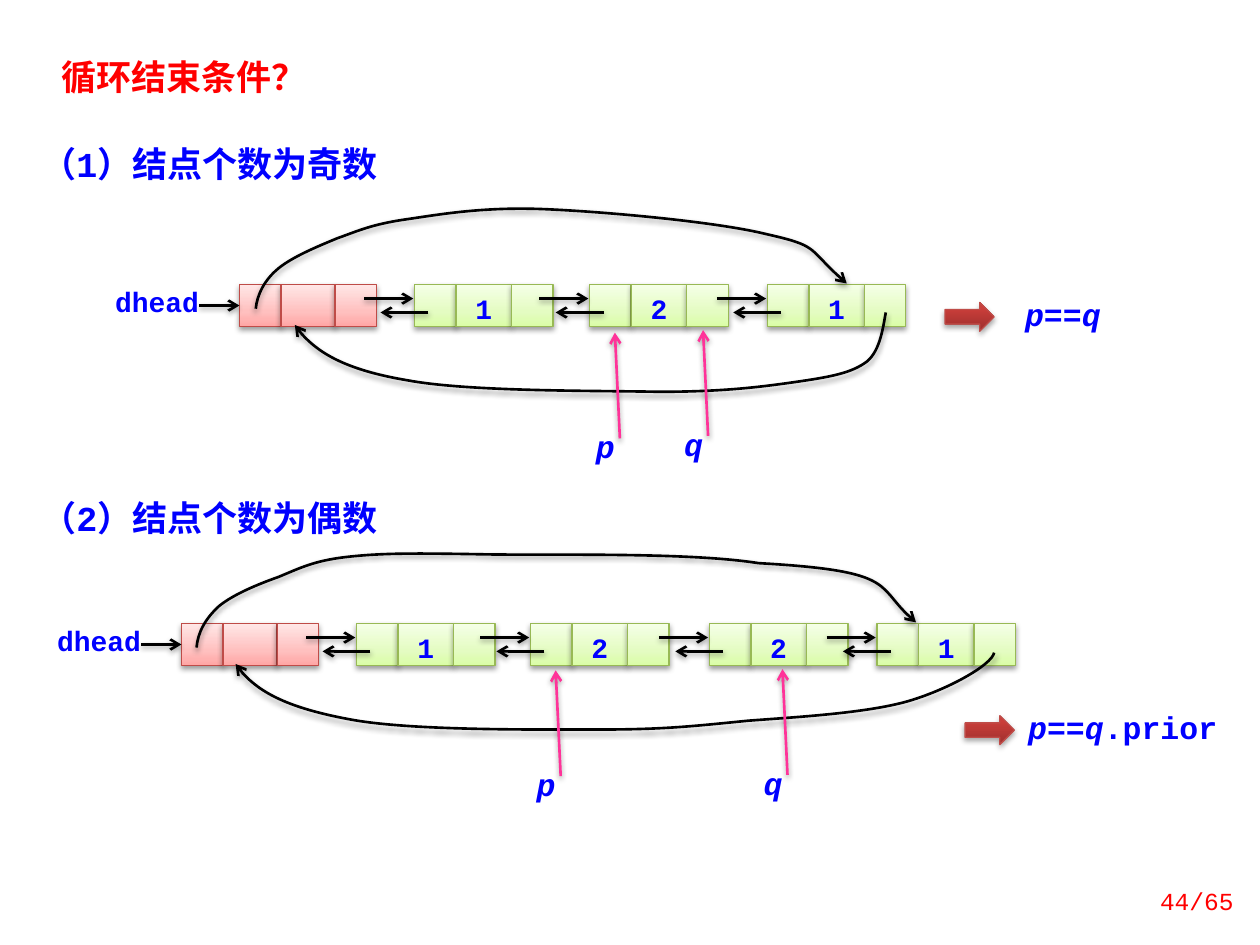
from itertools import pairwise
from lxml.etree import SubElement
from pptx import Presentation
from pptx.dml.color import RGBColor
from pptx.enum.shapes import MSO_CONNECTOR, MSO_SHAPE
from pptx.enum.text import MSO_ANCHOR, MSO_AUTO_SIZE, PP_ALIGN
from pptx.oxml.ns import qn
from pptx.util import Inches, Pt

COLORS = {"text": "0000FF", "red": "FF0000", "ink": "000000", "pointer": "FF3399",
          "white": "FFFFFF", "head_line": "BF4C48", "node_line": "98B955"}
GRADIENTS = {
    "head": ((0, "FFA6A5"), (35, "FFC0BF"), (100, "FFE7E7")),
    "node": ((0, "DAFDA7"), (35, "E4FCC2"), (100, "F5FFE7")),
    "result": ((0, "9C2F2D"), (80, "CB3E3A"), (100, "CE3B37")),
}
MONO, CJK = "Courier New", "Noto Sans CJK SC"
COLS, ROWS = 100, 75
CELL_H = 3.3
CELLS = {"head": (3.3, 4.3, 3.3), "node": (3.3, 4.4, 3.3)}

CASES = [
    {
        "title": ("（1）结点个数为奇数", 10.8), "top": 22.6, "head": 19,
        "nodes": [(32.9, "1"), (46.8, "2"), (60.9, "1")],
        "pointers": [("p", 48.8, 26.4), ("q", 55.8, 26.2)],
        "result": (75, 24, 10.9, [("p", True), ("==", False), ("q", True)]),
        "curves": [
            [(70.3, 24.8), (70.1, 25.8), (69.9, 27.8), (68.8, 28.7), (67.6, 29.6),
             (66, 29.9), (63.3, 30.3), (60.5, 30.7), (57.5, 31.1), (52.3, 31.1),
             (47.2, 31), (37.3, 31.1), (32.4, 30.2), (27.6, 29.4), (24.6, 27.7), (23.4, 25.8)],
            [(20.3, 24.5), (20.4, 23.4), (21, 22.2), (22.1, 21.3), (23.2, 20.4),
             (25.1, 19.6), (26.8, 18.9), (28.5, 18.3), (29.5, 17.8), (32.3, 17.4),
             (35, 17), (38.4, 16.4), (43.2, 16.6), (48, 16.8), (56.9, 17.6),
             (60.9, 18.6), (64.9, 19.5), (64, 19.7), (67.2, 22.5)],
        ],
    },
    {
        "title": ("（2）结点个数为偶数", 38.9), "top": 49.5, "head": 14.4,
        "nodes": [(28.3, "1"), (42.1, "2"), (56.3, "2"), (69.6, "1")],
        "pointers": [("p", 44.1, 53.2), ("q", 62.1, 53.1)],
        "result": (76.6, 56.8, 17.2,
                   [("p", True), ("==", False), ("q", True), (".prior", False)]),
        "curves": [
            [(15.6, 51.4), (15.7, 50.2), (16.3, 49.1), (17.4, 48.1), (18.5, 47.2),
             (20.4, 46.4), (22.1, 45.8), (23.8, 45.1), (24.9, 44.5), (27.6, 44.2),
             (30.3, 43.9), (32.8, 43.9), (38.3, 44), (43.7, 44.1), (54.5, 43.8),
             (60.2, 44.7), (70.9, 45.3), (69.4, 46.6), (72.7, 49.4)],
            [(78.9, 51.8), (78.7, 52.8), (75.1, 54.8), (71.9, 55.7), (68.6, 56.6),
             (63.4, 56.9), (59.4, 57.2), (55.3, 57.6), (52.9, 57.9), (47.7, 57.9),
             (42.4, 57.9), (32.6, 58), (27.8, 57.1), (22.9, 56.2), (19.9, 54.6), (18.7, 52.7)],
        ],
    },
]


class Board:
    """Draws styled elements on one slide, measured in grid columns and rows."""

    def __init__(self, prs):
        self.s = prs.slides.add_slide(prs.slide_layouts[6])
        self.cw, self.rh = prs.slide_width / COLS, prs.slide_height / ROWS

    def grid(self, x, y):
        return round(x * self.cw), round(y * self.rh)

    def shadow(self, sp, alpha=38, dist=20000):
        effects = SubElement(sp.element.spPr, qn("a:effectLst"))
        outer = SubElement(effects, qn("a:outerShdw"), blurRad="40000", dist=str(dist),
                           dir="5400000", rotWithShape="0")
        color = SubElement(outer, qn("a:srgbClr"), val=COLORS["ink"])
        SubElement(color, qn("a:alpha"), val=str(alpha * 1000))

    def stroke(self, sp, color, width, arrow=False):
        sp.line.color.rgb = RGBColor.from_string(COLORS[color])
        sp.line.width = Pt(width)
        if arrow:
            SubElement(sp.element.spPr.find(qn("a:ln")), qn("a:tailEnd"), type="arrow")

    def put_runs(self, sp, runs, size, color="text", font=MONO, bold=True,
                 insets=(0.1, 0.05, 0.1, 0.05), anchor=MSO_ANCHOR.TOP, **para):
        tf = sp.text_frame
        sides = ("margin_left", "margin_top", "margin_right", "margin_bottom")
        frame = dict(zip(sides, map(Inches, insets)), word_wrap=True, vertical_anchor=anchor)
        for key, value in frame.items():
            setattr(tf, key, value)
        p = tf.paragraphs[0]
        for key, value in para.items():
            setattr(p, key, value)
        for text, italic in runs:
            r = p.add_run()
            r.text = text
            fmt = {"name": font, "size": Pt(size), "bold": bold, "italic": italic}
            for key, value in fmt.items():
                setattr(r.font, key, value)
            r.font.color.rgb = RGBColor.from_string(COLORS[color])
            SubElement(r.font._element, qn("a:ea"), typeface=CJK)

    def text(self, x, y, w, h, runs, size, grow=True, **style):
        sp = self.s.shapes.add_textbox(*self.grid(x, y), *self.grid(w, h))
        self.put_runs(sp, runs, size, **style)
        if grow:
            sp.text_frame.auto_size = MSO_AUTO_SIZE.SHAPE_TO_FIT_TEXT

    def block(self, x, y, w, h, gradient, line, kind=MSO_SHAPE.RECTANGLE, **shadow):
        sp = self.s.shapes.add_shape(kind, *self.grid(x, y), *self.grid(w, h))
        sp.fill.gradient()
        sp.fill.gradient_angle = 90
        stops = sp.element.spPr.find(".//" + qn("a:gsLst"))
        stops.clear()
        for pos, color in GRADIENTS[gradient]:
            stop = SubElement(stops, qn("a:gs"), pos=str(pos * 1000))
            SubElement(stop, qn("a:srgbClr"), val=color)
        self.stroke(sp, line, 0.75)
        self.shadow(sp, **shadow)
        return sp

    def node(self, x, y, kind, value=""):
        cells = []
        for w in CELLS[kind]:
            cells.append(self.block(x, y, w, CELL_H, kind, f"{kind}_line"))
            x += w
        if value:
            self.put_runs(cells[1], [(value, False)], 16, insets=(0.1, 0, 0.1, 0),
                          alignment=PP_ALIGN.CENTER, line_spacing=Pt(23))
        return cells

    def label(self, x, y, w, h, text):
        sp = self.s.shapes.add_shape(MSO_SHAPE.RECTANGLE, *self.grid(x, y), *self.grid(w, h))
        sp.shadow.inherit = False
        sp.fill.solid()
        sp.fill.fore_color.rgb = RGBColor.from_string(COLORS["white"])
        sp.line.fill.background()
        self.put_runs(sp, [(text, False)], 16, insets=(0.02, 0, 0.1, 0),
                      alignment=PP_ALIGN.CENTER)

    def arrow(self, start, end, color="ink", target=None):
        sp = self.s.shapes.add_connector(MSO_CONNECTOR.STRAIGHT, *self.grid(*start),
                                         *self.grid(*end))
        if target is not None:
            sp.end_connect(target, 1)
        self.stroke(sp, color, 1.5, arrow=True)
        self.shadow(sp)

    def curve(self, points):
        start, *rest = [self.grid(*point) for point in points]
        builder = self.s.shapes.build_freeform(*start)
        builder.add_line_segments(rest, close=False)
        sp = builder.convert_to_shape()
        segments = list(sp.element.iter(qn("a:lnTo")))
        for trio in zip(segments[::3], segments[1::3], segments[2::3]):
            bezier = SubElement(trio[0].getparent(), qn("a:cubicBezTo"))
            for segment in trio:
                bezier.append(segment[0])
                segment.getparent().remove(segment)
        sp.fill.background()
        self.stroke(sp, "ink", 1.5, arrow=True)
        self.shadow(sp)

    def pointer(self, name, x, y):
        self.text(x - 3.5, y + 7.6, 5.5, 3.5, [(name, True)], 18,
                  alignment=PP_ALIGN.CENTER, line_spacing=0.8)
        self.arrow((x + 0.4, y + 8.4), (x, y), "pointer")

    def result(self, x, y, w, runs):
        self.block(x, y, 3.9, 2.3, "result", "head_line", MSO_SHAPE.RIGHT_ARROW,
                   alpha=35, dist=23000)
        self.text(x + 3.9, y - 1.1, w, 4, runs, 18, alignment=PP_ALIGN.CENTER)

    def case(self, case):
        title, title_y = case["title"]
        top, head = case["top"], case["head"]
        self.text(2.3, title_y, 28.9, 4.4, [(title, False)], 20)
        self.label(head - 10.4, top, 8.5, CELL_H, "dhead")
        middle = top + CELL_H / 2
        first = self.node(head, top, "head")[0]
        self.arrow((head - 3.2, middle), (head, middle), target=first)
        for x, value in case["nodes"]:
            self.node(x, top, "node", value)
        for x, _ in case["nodes"]:
            self.arrow((x - 4, top + 1.1), (x - 0.1, top + 1.1))
            self.arrow((x + 1.1, top + 2.2), (x - 2.7, top + 2.2))
        for points in case["curves"]:
            self.curve(points)
        for pointer in case["pointers"]:
            self.pointer(*pointer)
        self.result(*case["result"])


def main():
    prs = Presentation()
    prs.slide_width, prs.slide_height = Inches(10), Inches(7.5)
    board = Board(prs)
    board.text(3.9, 3.9, 27.3, 4.4, [("循环结束条件？", False)], 20, color="red", font=CJK)
    for case in CASES:
        board.case(case)
    board.text(89.8, 69.5, 9.1, 4, [("44/65", False)], 14, grow=False, color="red",
               bold=False, anchor=MSO_ANCHOR.MIDDLE, alignment=PP_ALIGN.RIGHT)
    prs.save("out.pptx")


if __name__ == "__main__":
    main()
